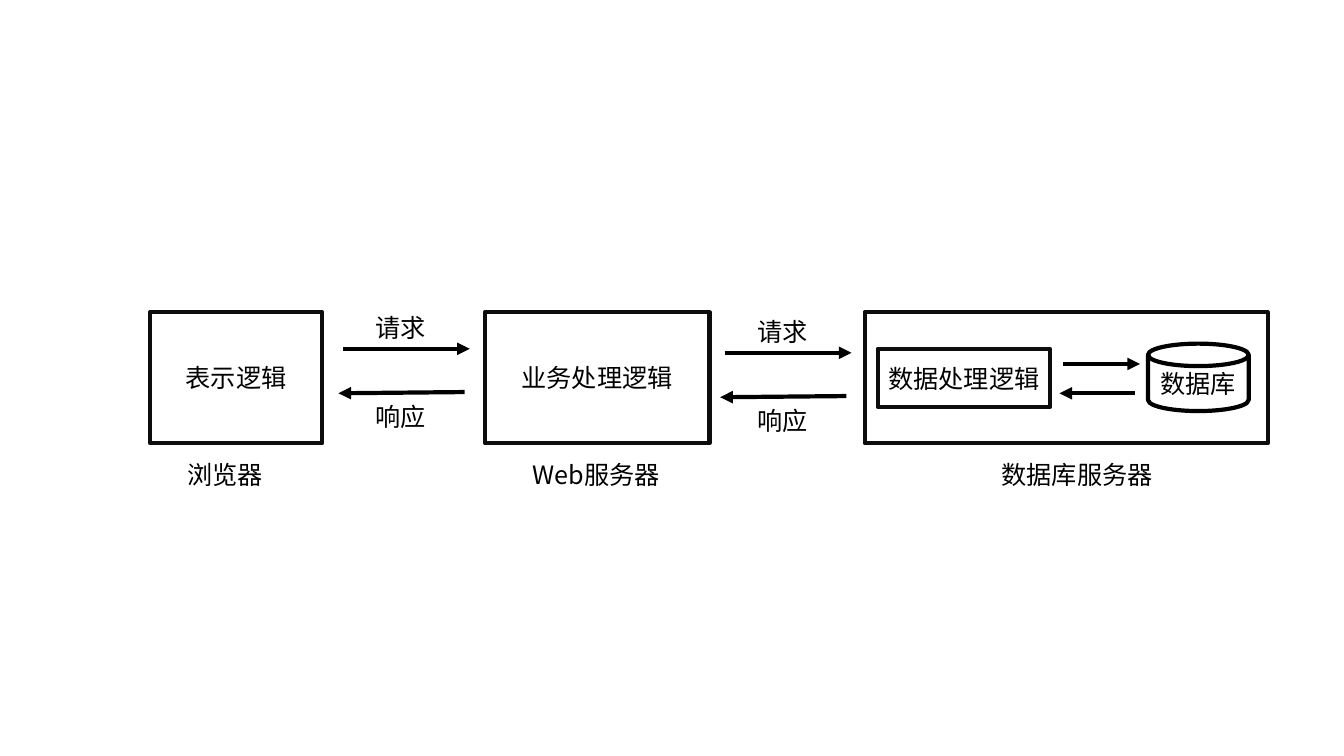
from pptx import Presentation
from pptx.dml.color import RGBColor
from pptx.enum.shapes import MSO_CONNECTOR, MSO_SHAPE
from pptx.enum.text import MSO_ANCHOR, PP_ALIGN
from pptx.oxml.ns import qn
from pptx.util import Cm, Pt
from lxml import etree

RECTANGLE = MSO_SHAPE.RECTANGLE
PROCESS = MSO_SHAPE.FLOWCHART_PROCESS
DISK = MSO_SHAPE.FLOWCHART_MAGNETIC_DISK
STRAIGHT = MSO_CONNECTOR.STRAIGHT
MIDDLE = MSO_ANCHOR.MIDDLE
LEFT, CENTER = PP_ALIGN.LEFT, PP_ALIGN.CENTER

FONT = "Noto Sans CJK SC"
BLACK, INK, WHITE = "000000", "0D0D0D", "FFFFFF"
LINE_WIDTH = Pt(3)
TIER_TOP, TIER_HEIGHT = 7.87, 3.3
CAPTION_TOP, LABEL_HEIGHT = 11.46, 1.02


def color(value):
    return RGBColor.from_string(value)


def write(frame, text, align):
    frame.word_wrap = True
    para = frame.paragraphs[0]
    para.alignment = align
    span = para.add_run()
    span.text = text
    span.font.size = Pt(18)
    span.font.name = FONT
    span.font.color.rgb = color(BLACK)
    east_asian = etree.SubElement(span.font._element, qn("a:ea"))
    east_asian.set("typeface", FONT)


def add_block(page, kind, left, top, width, height, text="", outline=INK):
    box = page.shapes.add_shape(kind, Cm(left), Cm(top), Cm(width), Cm(height))
    box.shadow.inherit = False
    box.fill.solid()
    box.fill.fore_color.rgb = color(WHITE)
    box.line.color.rgb = color(outline)
    box.line.width = LINE_WIDTH
    if text:
        frame = box.text_frame
        frame.margin_left = frame.margin_right = 0
        frame.vertical_anchor = MIDDLE
        write(frame, text, CENTER)


def add_label(page, left, top, width, text):
    box = page.shapes.add_textbox(Cm(left), Cm(top), Cm(width), Cm(LABEL_HEIGHT))
    write(box.text_frame, text, LEFT)


def add_arrow(page, start_x, start_y, end_x, end_y):
    arrow = page.shapes.add_connector(
        STRAIGHT, Cm(start_x), Cm(start_y), Cm(end_x), Cm(end_y))
    arrow.line.color.rgb = color(BLACK)
    arrow.line.width = LINE_WIDTH
    head = etree.SubElement(arrow.line._get_or_add_ln(), qn("a:tailEnd"))
    head.set("type", "triangle")
    etree.SubElement(arrow._element.spPr, qn("a:effectLst"))


def add_exchange(page, left, top):
    """Request arrow to the right, response arrow back, each with a label."""
    add_arrow(page, left, top, left + 3.2, top)
    add_arrow(page, left + 3.07, top + 1.09, left - 0.11, top + 1.12)
    add_label(page, left + 0.57, top - 1.04, 1.81, "请求")
    add_label(page, left + 0.57, top + 1.2, 1.81, "响应")


def main():
    deck = Presentation()
    deck.slide_width, deck.slide_height = Cm(33.87), Cm(19.05)
    page = deck.slides.add_slide(deck.slide_layouts[6])

    # Three tiers
    for kind, left, width, text in (
            (PROCESS, 3.78, 4.34, "表示逻辑"),
            (PROCESS, 12.22, 5.66, "业务处理逻辑"),
            (RECTANGLE, 21.79, 10.16, "")):
        add_block(page, kind, left, TIER_TOP, width, TIER_HEIGHT, text)

    # Captions under the tiers
    for left, width, text in (
            (4.47, 2.45, "浏览器"),
            (13.18, 3.73, "Web服务器"),
            (24.99, 4.42, "数据库服务器")):
        add_label(page, left, CAPTION_TOP, width, text)

    # Inside the database server
    add_block(page, RECTANGLE, 22.12, 8.79, 4.34, 1.47, "数据处理逻辑")
    add_block(page, DISK, 28.93, 8.66, 2.54, 1.7, "数据库", BLACK)
    add_arrow(page, 26.8, 9.17, 28.73, 9.17)
    add_arrow(page, 28.6, 9.91, 26.7, 9.91)

    # Traffic between the tiers
    add_exchange(page, 8.64, 8.79)
    add_exchange(page, 18.26, 8.89)

    deck.save("out.pptx")


main()
